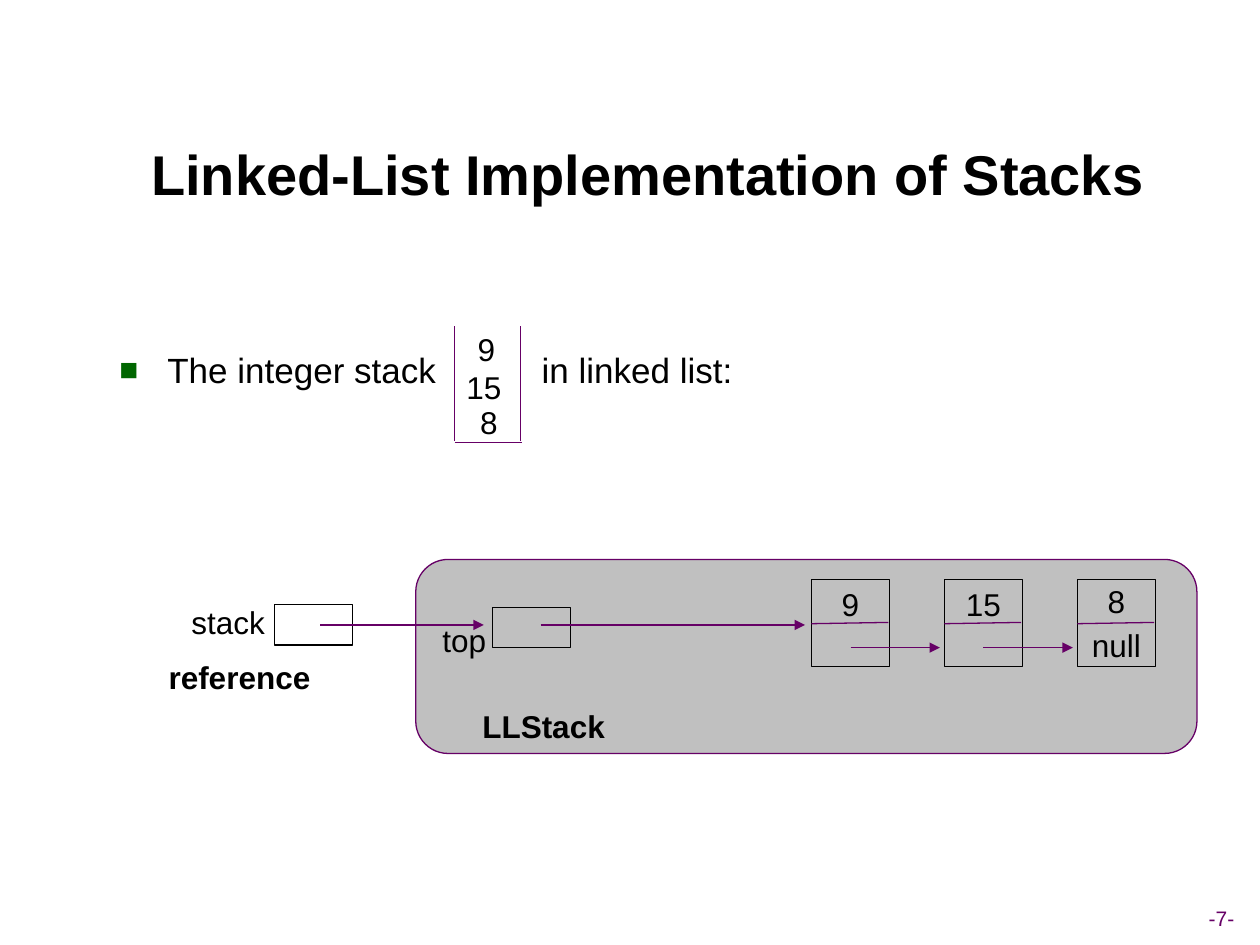
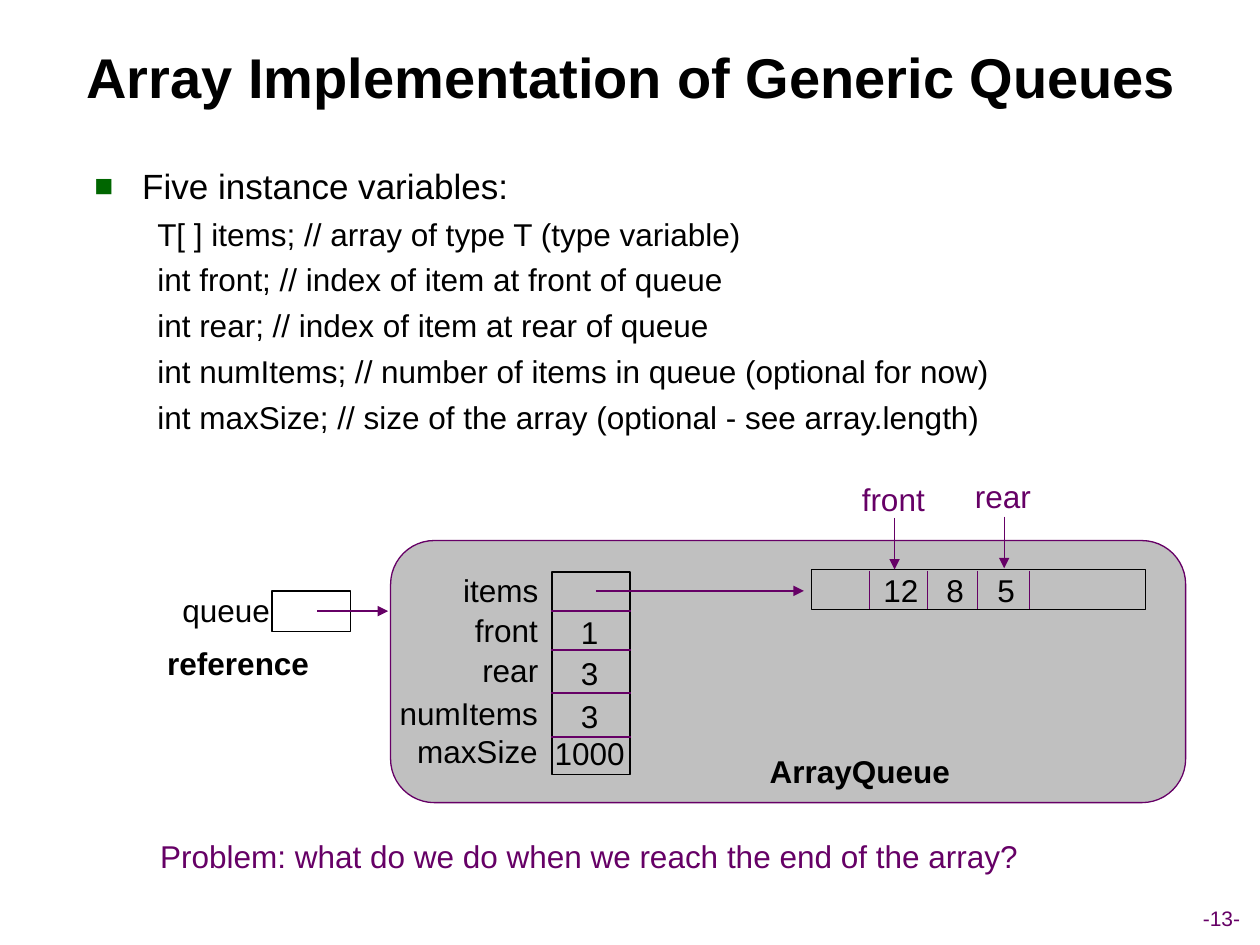
"""Two slides on linked-list stacks and array queues, drawn as reference diagrams."""
from lxml import etree
from pptx import Presentation
from pptx.dml.color import RGBColor
from pptx.enum.shapes import MSO_CONNECTOR, MSO_SHAPE
from pptx.enum.text import MSO_ANCHOR, PP_ALIGN
from pptx.oxml.ns import qn
from pptx.util import Inches, Pt

RECTANGLE, ROUNDED = MSO_SHAPE.RECTANGLE, MSO_SHAPE.ROUNDED_RECTANGLE
STRAIGHT = MSO_CONNECTOR.STRAIGHT
LEFT, CENTER = PP_ALIGN.LEFT, PP_ALIGN.CENTER
TOP, MIDDLE = MSO_ANCHOR.TOP, MSO_ANCHOR.MIDDLE

FONT = "Arial"
BLACK, PURPLE, GREEN, GRAY = "000000", "660066", "006600", "C0C0C0"
LABEL_HEIGHT = 0.4
CELL_WIDTH, CELL_HEIGHT = 0.62, 0.32

STACK = {
    "title": ("Linked-List Implementation of Stacks", 0.51, 0.9),
    "number": "-7-",
    "panel": (3.3, 4.44, 6.2, 1.54),
    "boxes": [(2.18, 4.8, CELL_WIDTH, CELL_HEIGHT), (3.91, 4.82, CELL_WIDTH, CELL_HEIGHT)],
    "arrows": [(2.54, 4.96, 3.84, 4.96), (4.29, 4.96, 6.39, 4.96)],
    "lines": [(3.61, 2.59, 3.61, 3.5), (4.13, 2.59, 4.13, 3.5), (3.61, 3.51, 4.14, 3.51)],
    "labels": [
        ("9", 3.69, 2.57, 0.34, {}),
        ("15", 3.6, 2.87, 0.48, {}),
        ("8", 3.71, 3.15, 0.34, {}),
        ("stack", 1.42, 4.74, 0.78, {}),
        ("reference", 1.24, 5.17, 1.32, {"bold": True}),
        ("LLStack", 3.73, 5.56, 1.17, {"bold": True}),
        ("top", 3.41, 4.88, 0.55, {}),
    ],
}
NODES = [("9", 4.59), ("15", 4.59), ("8", 4.57)]
NODE_LEFT, NODE_TOP, NODE_HEIGHT, NODE_PITCH = 6.44, 4.6, 0.69, 1.055
LINK_Y, LINK_LENGTH = 5.14, 0.71

QUEUE = {
    "title": ("Array Implementation of Generic Queues", 0.38, 0.13),
    "number": "-13-",
    "panel": (3.1, 4.29, 6.31, 2.08),
    "boxes": [
        (2.16, 4.69, CELL_WIDTH, CELL_HEIGHT),
        (4.38, 4.54, CELL_WIDTH, 1.61),
        (6.44, 4.52, 2.65, CELL_HEIGHT),
    ],
    "arrows": [
        (2.52, 4.85, 3.08, 4.85),
        (4.73, 4.69, 6.38, 4.69),
        (7.1, 4.11, 7.1, 4.52),
        (7.97, 4.1, 7.97, 4.51),
    ],
    "lines": [],
    "labels": [
        ("queue", 1.35, 4.64, 0.89, {}),
        ("reference", 1.23, 5.06, 1.32, {"bold": True}),
        ("ArrayQueue", 6.01, 5.92, 1.63, {"bold": True}),
        ("front", 6.74, 3.76, 0.7, {"color": PURPLE}),
        ("rear", 7.64, 3.74, 0.64, {"color": PURPLE}),
        ("Problem: what do we do when we reach the end of the array?",
         1.17, 6.59, 7.01, {"color": PURPLE}),
    ],
}
DECLARATIONS = [
    "T[ ] items; // array of type T (type variable)",
    "int front; // index of item at front of queue",
    "int rear; // index of item at rear of queue",
    "int numItems; // number of items in queue (optional for now)",
    "int maxSize; // size of the array (optional - see array.length)",
]
FIELDS = [
    ("items", 0.79, 4.48, ""),
    ("front", 0.7, 4.8, "1"),
    ("rear", 0.64, 5.12, "3"),
    ("numItems", 1.3, 5.46, "3"),
    ("maxSize", 1.16, 5.76, "1000"),
]
FIELD_RIGHT, VALUE_CENTER, VALUE_DROP = 4.37, 4.68, 0.02
FIELD_DIVIDERS = [4.85, 5.16, 5.5, 5.85]
ARRAY_VALUES = ["12", "8", "5"]
ARRAY_DIVIDERS = [6.9, 7.36, 7.76, 8.17]


def rgb(color):
    """Turn a hex string into a colour."""
    return RGBColor.from_string(color)


def write(paragraph, text, size=18, color=BLACK, bold=False, align=CENTER, before=0):
    """Put formatted text into a paragraph."""
    paragraph.alignment = align
    paragraph.space_before = Pt(before)
    run = paragraph.add_run()
    run.text = text
    font = run.font
    font.name, font.size, font.bold = FONT, Pt(size), bold
    font.color.rgb = rgb(color)


def add_frame(slide, left, top, width, height, wrap=False, anchor=TOP):
    """Add an empty text box and return its text frame."""
    box = slide.shapes.add_textbox(*map(Inches, (left, top, width, height)))
    frame = box.text_frame
    frame.word_wrap = wrap
    frame.vertical_anchor = anchor
    return frame


def add_label(slide, text, left, top, width, **style):
    """Add a one-line centred label that uses the full width of its box."""
    frame = add_frame(slide, left, top, width, LABEL_HEIGHT)
    frame.margin_left = frame.margin_right = 0
    write(frame.paragraphs[0], text, **style)


def add_value(slide, text, center, top):
    """Add a number centred on a cell."""
    width = 0.2 + 0.14 * len(text)
    add_label(slide, text, center - width / 2, top, width)


def add_box(slide, left, top, width, height, kind=RECTANGLE, fill=None, line=BLACK):
    """Add an outlined box, filled only if a fill is given."""
    shape = slide.shapes.add_shape(kind, *map(Inches, (left, top, width, height)))
    shape.shadow.inherit = False
    if fill:
        shape.fill.solid()
        shape.fill.fore_color.rgb = rgb(fill)
    else:
        shape.fill.background()
    shape.line.color.rgb = rgb(line)
    shape.line.width = Pt(0.75)


def add_line(slide, *ends, arrow=False):
    """Add a thin purple line, with an arrowhead at its end on request."""
    connector = slide.shapes.add_connector(STRAIGHT, *map(Inches, ends))
    connector.line.color.rgb = rgb(PURPLE)
    connector.line.width = Pt(0.75)
    properties = connector.element.spPr
    if arrow:
        etree.SubElement(properties.find(qn("a:ln")), qn("a:tailEnd"), type="triangle")
    etree.SubElement(properties, qn("a:effectLst"))


def add_bullet(paragraph, text):
    """Write a paragraph with a green square bullet."""
    write(paragraph, text, size=20, align=LEFT)
    properties = paragraph._p.get_or_add_pPr()
    properties.set("marL", str(Inches(0.38)))
    properties.set("indent", str(-Inches(0.38)))
    color = etree.SubElement(properties, qn("a:buClr"))
    etree.SubElement(color, qn("a:srgbClr"), val=GREEN)
    etree.SubElement(properties, qn("a:buSzPct"), val="90000")
    etree.SubElement(properties, qn("a:buFont"), typeface=FONT)
    etree.SubElement(properties, qn("a:buChar"), char="■")


def add_diagram_slide(presentation, content):
    """Add a slide with title, page number and the reference diagram."""
    slide = presentation.slides.add_slide(presentation.slide_layouts[6])
    title, left, top = content["title"]
    frame = add_frame(slide, left, top, 9.27, 0.95, wrap=True, anchor=MIDDLE)
    write(frame.paragraphs[0], title, size=32, bold=True)
    number = add_frame(slide, 9.16, 7.14, 1.07, 0.3, anchor=MIDDLE)
    write(number.paragraphs[0], content["number"], size=12, color=PURPLE)
    add_box(slide, *content["panel"], kind=ROUNDED, fill=GRAY, line=PURPLE)
    for box in content["boxes"]:
        add_box(slide, *box)
    for ends in content["lines"]:
        add_line(slide, *ends)
    for ends in content["arrows"]:
        add_line(slide, *ends, arrow=True)
    for text, left, top, width, style in content["labels"]:
        add_label(slide, text, left, top, width, **style)
    return slide


def build_stack(presentation):
    """Build the linked-list slide with its chain of nodes."""
    slide = add_diagram_slide(presentation, STACK)
    add_bullet(add_frame(slide, 0.85, 2.72, 2.8, 0.42).paragraphs[0], "The integer stack")
    continuation = add_frame(slide, 4.2, 2.72, 2, 0.42).paragraphs[0]
    write(continuation, "in linked list:", size=20, align=LEFT)
    for index, (value, value_top) in enumerate(NODES):
        left = NODE_LEFT + index * NODE_PITCH
        center = left + CELL_WIDTH / 2
        add_box(slide, left, NODE_TOP, CELL_WIDTH, NODE_HEIGHT)
        add_line(slide, left, 4.95, left + 0.61, 4.94)
        add_value(slide, value, center, value_top)
        if index < len(NODES) - 1:
            add_line(slide, center, LINK_Y, center + LINK_LENGTH, LINK_Y, arrow=True)
        else:
            add_label(slide, "null", center - 0.3, 4.92, 0.6)


def build_queue(presentation):
    """Build the array slide with its fields and array cells."""
    slide = add_diagram_slide(presentation, QUEUE)
    frame = add_frame(slide, 0.65, 1.26, 8.38, 2.4, wrap=True)
    add_bullet(frame.paragraphs[0], "Five instance variables:")
    for declaration in DECLARATIONS:
        paragraph = frame.add_paragraph()
        write(paragraph, declaration, align=LEFT, before=4.5)
        paragraph._p.get_or_add_pPr().set("marL", str(Inches(0.5)))
    for name, width, top, value in FIELDS:
        add_label(slide, name, FIELD_RIGHT - width, top, width)
        if value:
            add_value(slide, value, VALUE_CENTER, top + VALUE_DROP)
    for y in FIELD_DIVIDERS:
        add_line(slide, FIELD_RIGHT, y, FIELD_RIGHT + 0.64, y)
    for x in ARRAY_DIVIDERS:
        add_line(slide, x, 4.53, x, 4.83)
    for value, start, end in zip(ARRAY_VALUES, ARRAY_DIVIDERS, ARRAY_DIVIDERS[1:]):
        add_value(slide, value, (start + end) / 2 + 0.02, 4.48)


def main():
    """Build and save the presentation."""
    presentation = Presentation()
    presentation.slide_width, presentation.slide_height = Inches(10), Inches(7.5)
    build_stack(presentation)
    build_queue(presentation)
    presentation.save("out.pptx")


if __name__ == "__main__":
    main()
